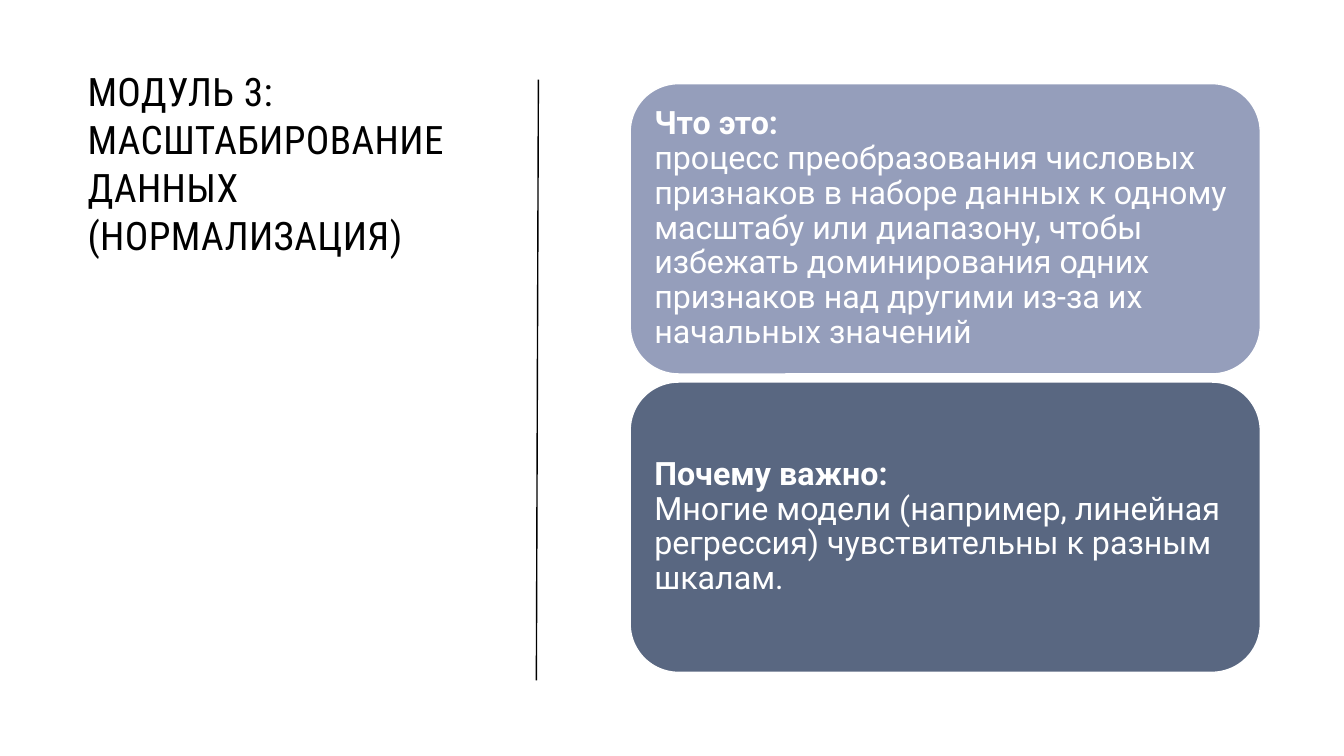
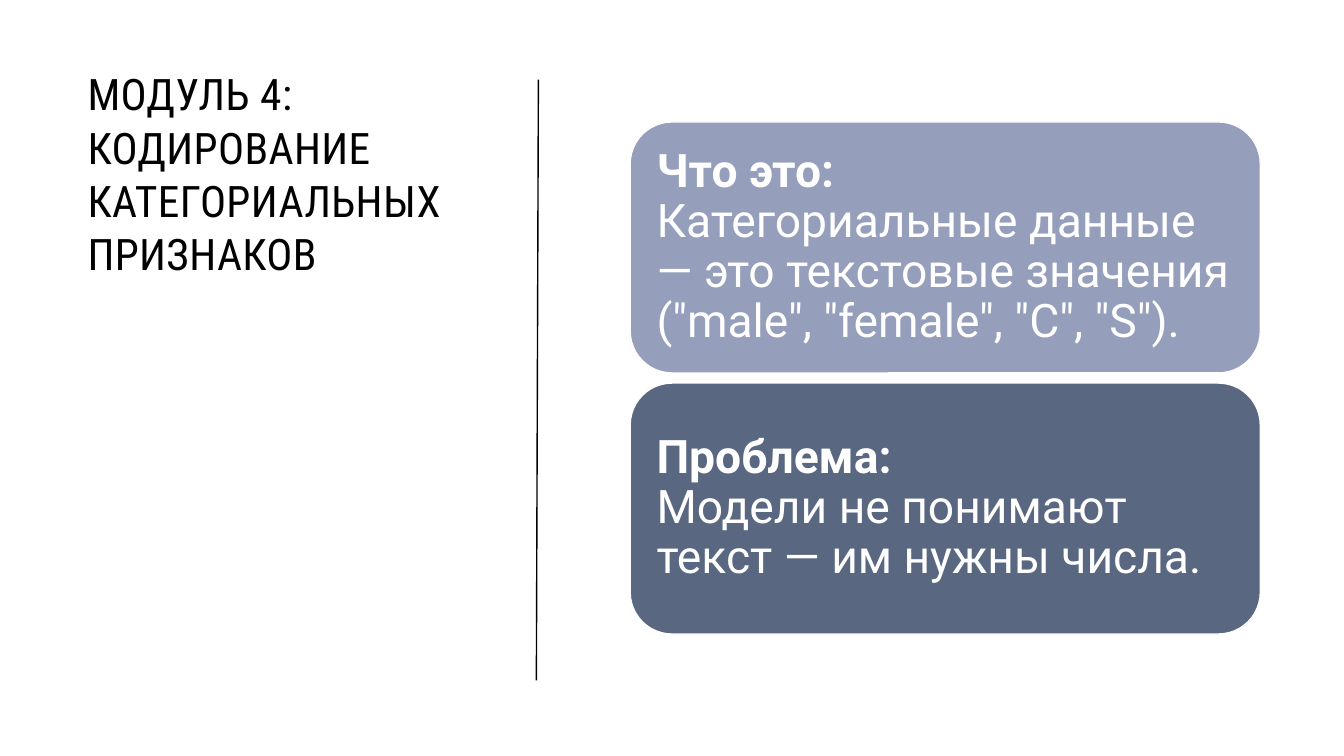
import pptx
import pptx.util
import pptx.dml.color
import pptx.enum.shapes
import pptx.enum.text
import pptx.oxml.ns
import lxml.etree

BLACK = pptx.dml.color.RGBColor(0x00, 0x00, 0x00)
WHITE = pptx.dml.color.RGBColor(0xFF, 0xFF, 0xFF)
LAVENDER = pptx.dml.color.RGBColor(0x95, 0x9E, 0xBB)
SLATE = pptx.dml.color.RGBColor(0x59, 0x67, 0x81)

WIDTH, HEIGHT = 13.33, 7.5
CARD_LEFT, CARD_WIDTH = 6.25, 6.25
CARD_COLORS = (LAVENDER, SLATE)

MODULES = [
    dict(title="МОДУЛЬ 3: МАСШТАБИРОВАНИЕ ДАННЫХ (НОРМАЛИЗАЦИЯ)", title_size=28,
         size=23, height=2.88, gap=0.08, inset=0.1,
         cards=[("Что это:", "процесс преобразования числовых признаков в наборе данных "
                 "к одному масштабу или диапазону, чтобы избежать доминирования одних "
                 "признаков над другими из-за их начальных значений"),
                ("Почему важно:", "Многие модели (например, линейная регрессия) "
                 "чувствительны к разным шкалам.")]),
    dict(title="МОДУЛЬ 4: КОДИРОВАНИЕ КАТЕГОРИАЛЬНЫХ ПРИЗНАКОВ", title_size=31,
         size=33, height=2.49, gap=0.1, inset=0.14,
         cards=[("Что это:", "Категориальные данные — это текстовые значения "
                 '("male", "female", "C", "S").'),
                ("Проблема:", "Модели не понимают текст — им нужны числа.")]),
]


class Deck:
    """Holds the shared style and the slide being built."""

    def __init__(self):
        self.prs = pptx.Presentation()
        self.prs.slide_width = pptx.util.Inches(WIDTH)
        self.prs.slide_height = pptx.util.Inches(HEIGHT)
        self.s = None

    def new_slide(self):
        self.s = self.prs.slides.add_slide(self.prs.slide_layouts[6])

    def run(self, p, text, size, color, font="Roboto", bold=False):
        r = p.add_run()
        r.text = text
        r.font.name = font
        r.font.size = pptx.util.Pt(size)
        r.font.bold = bold
        r.font.color.rgb = color
        return r

    def title(self, text, size):
        sp = self.s.shapes.add_textbox(*map(pptx.util.Inches, (0.77, 0.61, 3.96, 4.99)))
        tf = sp.text_frame
        tf.word_wrap = True
        p = tf.paragraphs[0]
        p.line_spacing = 1.02
        r = self.run(p, text, size, BLACK, font="Roboto Condensed")
        r.font._element.set("spc", "30")

    def divider(self):
        ends = map(pptx.util.Inches, (5.32, 6.75, 5.34, 0.79))
        line = self.s.shapes.add_connector(pptx.enum.shapes.MSO_CONNECTOR.STRAIGHT, *ends)
        line.line.color.rgb = BLACK
        line.line.width = pptx.util.Pt(1)
        lxml.etree.SubElement(line._element.spPr, pptx.oxml.ns.qn("a:effectLst"))

    def card(self, top, height, color, heading, body, size, inset):
        sp = self.s.shapes.add_shape(
            pptx.enum.shapes.MSO_SHAPE.ROUNDED_RECTANGLE,
            *map(pptx.util.Inches, (CARD_LEFT, top, CARD_WIDTH, height)))
        sp.shadow.inherit = False
        sp.fill.solid()
        sp.fill.fore_color.rgb = color
        sp.line.color.rgb = WHITE
        sp.line.width = pptx.util.Pt(1)
        tf = sp.text_frame
        tf.word_wrap = True
        tf.vertical_anchor = pptx.enum.text.MSO_ANCHOR.MIDDLE
        margin = pptx.util.Inches(inset)
        tf.margin_left = tf.margin_right = tf.margin_top = tf.margin_bottom = margin
        p = tf.paragraphs[0]
        p.alignment = pptx.enum.text.PP_ALIGN.LEFT
        p.line_spacing = 0.9
        self.run(p, heading, size, WHITE, bold=True)
        p.add_line_break()
        self.run(p, body, size, WHITE)

    def card_stack(self, cards, size, height, gap, inset):
        pitch = height + gap
        top = (HEIGHT - len(cards) * pitch + gap) / 2
        for i, ((heading, body), color) in enumerate(zip(cards, CARD_COLORS)):
            self.card(top + i * pitch, height, color, heading, body, size, inset)

    def module(self, title, title_size, **stack):
        self.new_slide()
        self.title(title, title_size)
        self.divider()
        self.card_stack(**stack)


def main():
    deck = Deck()
    for module in MODULES:
        deck.module(**module)
    deck.prs.save("out.pptx")


if __name__ == "__main__":
    main()
